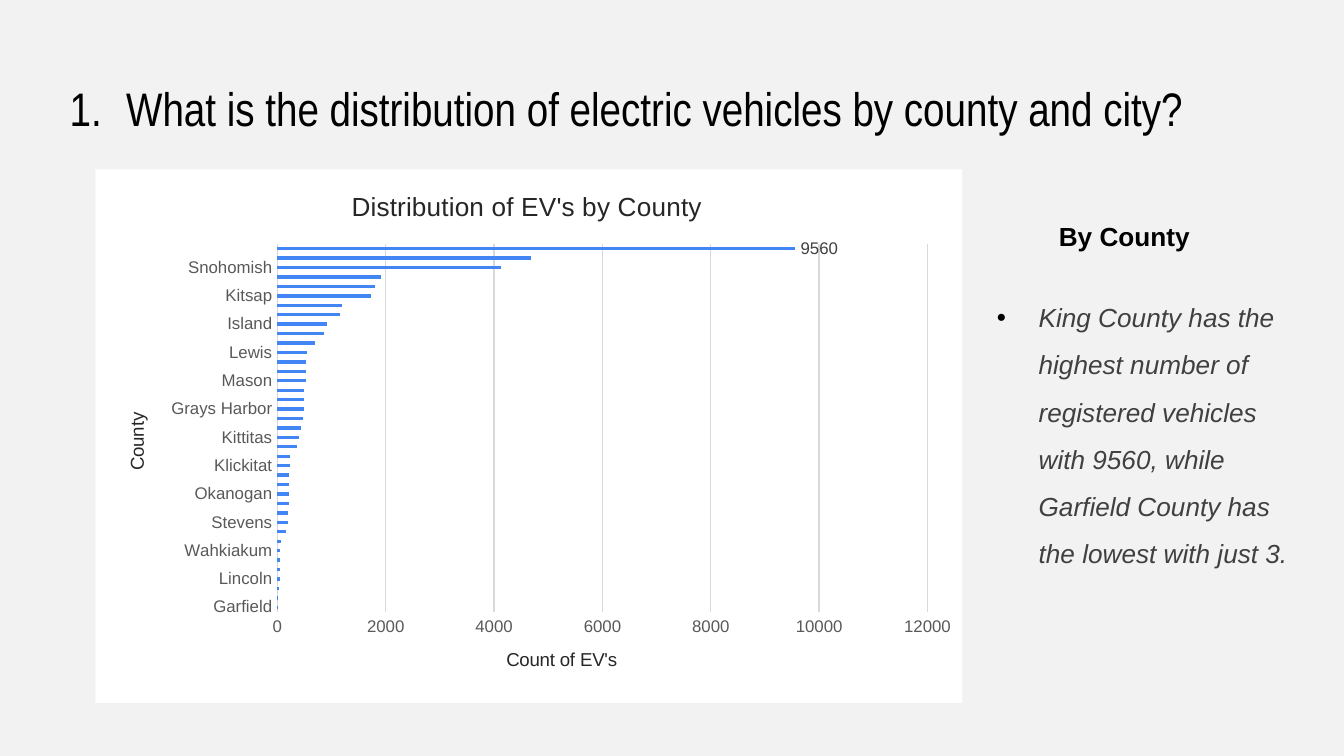
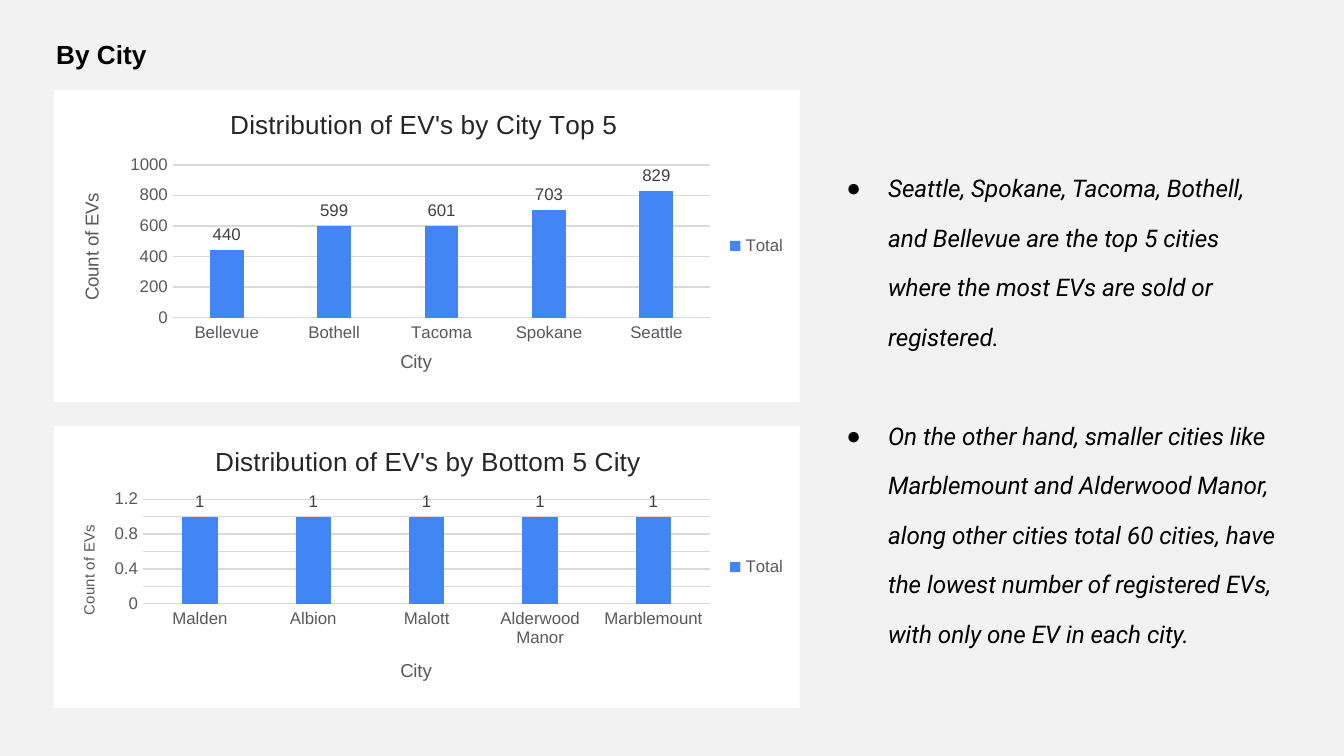
"""Build two slides on the distribution of electric vehicles by county and city."""
from dataclasses import dataclass

from lxml import etree
from pptx import Presentation
from pptx.chart.data import CategoryChartData
from pptx.dml.color import RGBColor as RGB
from pptx.enum.chart import XL_CHART_TYPE as CT
from pptx.enum.chart import XL_LABEL_POSITION as LP
from pptx.enum.chart import XL_LEGEND_POSITION as LG
from pptx.enum.chart import XL_TICK_MARK as TM
from pptx.enum.text import MSO_ANCHOR as MA
from pptx.enum.text import MSO_AUTO_SIZE as AS
from pptx.oxml import parse_xml
from pptx.oxml.ns import nsdecls, qn
from pptx.util import Inches, Pt


@dataclass(frozen=True)
class Theme:
    """Colours, fonts and type sizes shared by the slides."""
    back: str = "F2F2F2"
    white: str = "FFFFFF"
    black: str = "000000"
    dark: str = "262626"
    mid: str = "404040"
    soft: str = "595959"
    grid: str = "D9D9D9"
    bar: str = "4285F4"
    sans: str = "Arial"
    narrow: str = "Arial Narrow"
    body: str = "Roboto"
    title: float = 25.2
    head: float = 14
    note: float = 13
    axis: float = 10
    label: float = 9
    small: float = 8


T = Theme()

COUNTIES = {
    "Garfield": 3, "Columbia": 9, "Ferry": 34, "Lincoln": 49, "Adams": 50,
    "Pend Oreille": 50, "Wahkiakum": 55, "Asotin": 62, "Skamania": 152,
    "Stevens": 193, "Douglas": 197, "Pacific": 207, "Okanogan": 211,
    "Franklin": 217, "Whitman": 219, "Klickitat": 231, "Walla Walla": 241,
    "Grant": 358, "Kittitas": 407, "Clallam": 438, "San Juan": 470,
    "Grays Harbor": 486, "Jefferson": 489, "Yakima": 498, "Mason": 522,
    "Chelan": 527, "Cowlitz": 530, "Lewis": 547, "Benton": 699, "Skagit": 853,
    "Island": 916, "Thurston": 1158, "Whatcom": 1187, "Kitsap": 1719,
    "Clark": 1810, "Spokane": 1918, "Snohomish": 4121, "Pierce": 4689,
    "King": 9560,
}
TOP_CITIES = {"Bellevue": 440, "Bothell": 599, "Tacoma": 601, "Spokane": 703,
              "Seattle": 829}
BOTTOM_CITIES = dict.fromkeys(
    ["Malden", "Albion", "Malott", "Alderwood Manor", "Marblemount"], 1)


def set_font(font, size, color, name=T.sans, **fmt):
    """Apply size, colour, typeface and other format values to a font."""
    for key, value in {"size": Pt(size), "name": name, "bold": False, **fmt}.items():
        setattr(font, key, value)
    font.color.rgb = RGB.from_string(color)


def set_bullet(p, left, hang, mark):
    """Give a paragraph a hanging indent and a bullet or automatic number."""
    pPr = p._p.get_or_add_pPr()
    pPr.set("marL", str(Inches(left)))
    pPr.set("indent", str(-Inches(hang)))
    clr = etree.SubElement(pPr, qn("a:buClr"))
    etree.SubElement(clr, qn("a:srgbClr")).set("val", T.black)
    font = etree.SubElement(pPr, qn("a:buFont"))
    font.set("typeface", T.sans)
    if mark == "1.":
        etree.SubElement(pPr, qn("a:buAutoNum")).set("type", "arabicPeriod")
    else:
        etree.SubElement(pPr, qn("a:buChar")).set("char", mark)


def add_text(s, box, texts, size, color=T.black, name=T.sans, bullet=None,
             inset=0.05, wrap=True, anchor=MA.TOP, para=None, **fmt):
    """Add a text box with one paragraph per text."""
    tf = s.shapes.add_textbox(*map(Inches, box)).text_frame
    frame = {"word_wrap": wrap, "vertical_anchor": anchor,
             "margin_top": Inches(inset), "margin_bottom": Inches(inset),
             "auto_size": AS.NONE if wrap else AS.SHAPE_TO_FIT_TEXT}
    for key, value in frame.items():
        setattr(tf, key, value)
    for i, text in enumerate(texts):
        p = tf.add_paragraph() if i else tf.paragraphs[0]
        r = p.add_run()
        r.text = text
        set_font(r.font, size, color, name, **fmt)
        for key, value in (para or {}).items():
            if i or key != "space_before":
                setattr(p, key, value)
        if bullet:
            set_bullet(p, *bullet)


def add_heading(s, x, y, w, text):
    """Add a bold section heading."""
    add_text(s, (x, y, w, 0.34), [text], T.head, wrap=False, bold=True)


def set_layout(el, index, **place):
    """Place a chart part by fractions of the chart area."""
    for old in el.findall(qn("c:layout")):
        el.remove(old)
    layout = etree.Element(qn("c:layout"))
    manual = etree.SubElement(layout, qn("c:manualLayout"))
    if "w" in place:
        etree.SubElement(manual, qn("c:layoutTarget")).set("val", "inner")
    for key in ("x", "y"):
        etree.SubElement(manual, qn(f"c:{key}Mode")).set("val", "edge")
    for key, value in place.items():
        etree.SubElement(manual, qn(f"c:{key}")).set("val", str(value))
    el.insert(index, layout)


def set_title(owner, title, text, size, color, spot):
    """Write and place the title of a chart or an axis."""
    owner.has_title = True
    title = title()
    p = title.text_frame.paragraphs[0]
    r = p.add_run()
    r.text = text
    set_font(r.font, size, color)
    set_layout(title._element, 1, x=spot[0], y=spot[1])


def style_axis(axis, text, size, color, spot):
    """Format an axis, its labels and its title."""
    axis.major_tick_mark = axis.minor_tick_mark = TM.NONE
    set_font(axis.tick_labels.font, T.label, T.soft)
    set_title(axis, lambda: axis.axis_title, text, size, color, spot)


def set_line(line):
    """Draw a thin grey chart line."""
    line.width = Pt(0.75)
    line.color.rgb = RGB.from_string(T.grid)


def add_bars(s, kind, box, name, data, title, cat, val, plot, top, unit, gap,
             axis_color=T.soft, val_size=T.axis, overlap=0):
    """Add a bar or column chart; titles are (text, (x, y)) pairs."""
    cd = CategoryChartData(number_format="General")
    cd.categories = list(data)
    cd.add_series(name, list(data.values()))
    chart = s.shapes.add_chart(kind, *map(Inches, box), cd).chart
    set_font(chart.font, T.axis, T.black)
    set_title(chart, lambda: chart.chart_title, title[0], T.head, T.dark, title[1])
    chart.has_legend = False
    cs = chart._chartSpace
    cs.find(qn("c:chart")).addnext(parse_xml(
        f'<c:spPr {nsdecls("c", "a")}><a:solidFill><a:srgbClr val="{T.white}"/>'
        '</a:solidFill><a:ln><a:noFill/></a:ln></c:spPr>'))
    ca, va = chart.category_axis, chart.value_axis
    style_axis(ca, cat[0], T.axis, axis_color, cat[1])
    style_axis(va, val[0], val_size, axis_color, val[1])
    set_line(ca.format.line)
    set_line(va.major_gridlines.format.line)
    va.format.line.fill.background()
    va.minimum_scale, va.maximum_scale, va.major_unit = 0, top, unit
    bars = chart.plots[0]
    bars.gap_width, bars.overlap, bars.vary_by_categories = gap, overlap, False
    fill = bars.series[0].format.fill
    fill.solid()
    fill.fore_color.rgb = RGB.from_string(T.bar)
    set_layout(cs.find(".//" + qn("c:plotArea")), 0, **dict(zip("xywh", plot)))
    return chart


def show_value(labels):
    """Show values at the outer ends of the bars."""
    labels.show_value = True
    labels.position = LP.OUTSIDE_END
    set_font(labels.font, T.label, T.mid)


def add_city_chart(s, y, h, **parts):
    """Add a labelled column chart of cities with a legend."""
    chart = add_bars(s, CT.COLUMN_CLUSTERED, (0.4, y, 5.55, h), "Total", gap=219, **parts)
    chart.has_legend = True
    chart.legend.position = LG.RIGHT
    chart.legend.include_in_layout = False
    set_font(chart.legend.font, T.label, T.soft)
    show_value(chart.plots[0].series[0].data_labels)


def new_slide(prs):
    """Add a blank slide with the shared background."""
    s = prs.slides.add_slide(prs.slide_layouts[6])
    s.background.fill.solid()
    s.background.fill.fore_color.rgb = RGB.from_string(T.back)
    return s


def county_slide(prs):
    """Build the slide on counties."""
    s = new_slide(prs)
    add_text(s, (0.34, 0.49, 9.32, 0.63),
             ["What is the distribution of electric vehicles by county and city?"],
             T.title, name=T.narrow, bullet=(0.5, 0.42, "1."), inset=0.1,
             anchor=MA.MIDDLE)
    chart = add_bars(
        s, CT.BAR_CLUSTERED, (0.71, 1.26, 6.45, 3.97), "Series 1", COUNTIES,
        title=("Distribution of EV's by County", (0.29, 0.03)),
        cat=("County", (0.03, 0.45)), val=("Count of EV's", (0.47, 0.89)),
        plot=(0.21, 0.14, 0.75, 0.69), top=12000, unit=2000, gap=182,
        axis_color=T.dark)
    king = chart.plots[0].series[0].points[len(COUNTIES) - 1].data_label
    king.position = LP.OUTSIDE_END
    set_font(king.font, T.label, T.mid)
    add_text(s, (7.32, 2.08, 2.43, 2.18),
             ["King County has the highest number of registered vehicles with 9560, "
              "while Garfield County has the lowest with just 3."],
             T.head, T.mid, bullet=(0.31, 0.31, "•"), para={"line_spacing": 1.5},
             italic=True)
    add_heading(s, 7.78, 1.59, 1.18, "By County")


def city_slide(prs):
    """Build the slide on cities."""
    s = new_slide(prs)
    add_text(s, (6.2, 1.04, 3.4, 3.74),
             ["Seattle, Spokane, Tacoma, Bothell, and Bellevue are the top 5 cities "
              "where the most EVs are sold or registered.",
              "On the other hand, smaller cities like Marblemount and Alderwood Manor, "
              "along other cities total 60 cities, have the lowest number of "
              "registered EVs, with only one EV in each city."],
             T.note, name=T.body, bullet=(0.31, 0.31, "●"), inset=0.1,
             para={"line_spacing": 1.7, "space_before": Pt(26.5)}, italic=True)
    add_city_chart(
        s, 3.17, 2.1, data=BOTTOM_CITIES,
        title=("Distribution of EV's by Bottom 5 City", (0.21, 0.05)),
        cat=("City", (0.46, 0.81)), val=("Count of EVs", (0.03, 0.34)),
        plot=(0.12, 0.26, 0.76, 0.37), top=1.2, unit=0.2, val_size=T.small,
        overlap=-27)
    add_city_chart(
        s, 0.67, 2.32, data=TOP_CITIES,
        title=("Distribution of EV's by City Top 5", (0.23, 0.04)),
        cat=("City", (0.46, 0.82)), val=("Count of EVs", (0.03, 0.32)),
        plot=(0.16, 0.24, 0.72, 0.49), top=1000, unit=200)
    add_heading(s, 0.32, 0.24, 0.88, "By City")


def main():
    """Create and save the presentation."""
    prs = Presentation()
    prs.slide_width = Inches(10)
    prs.slide_height = prs.slide_width * 9 // 16
    county_slide(prs)
    city_slide(prs)
    prs.save("out.pptx")


if __name__ == "__main__":
    main()
